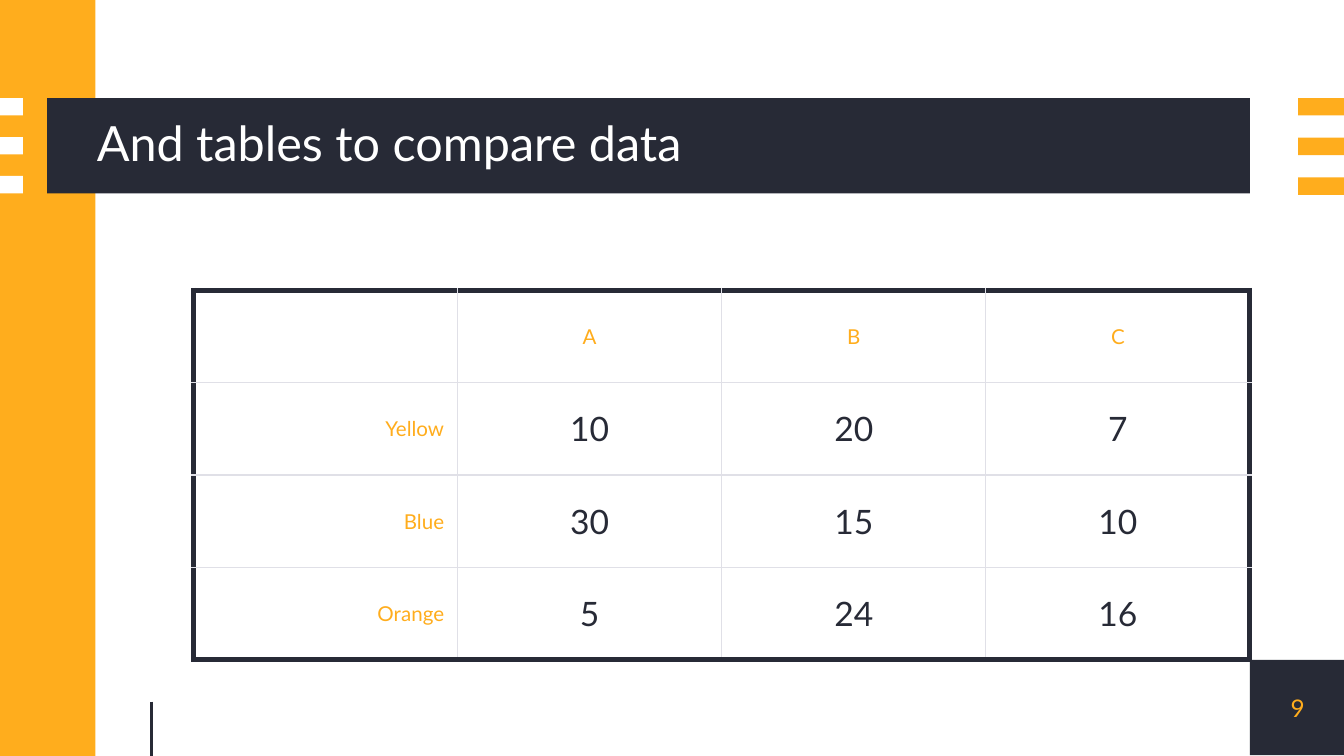
"""Build a slide with a title band, a comparison table and a page number."""
import dataclasses
import typing

import lxml.etree
import pptx
import pptx.dml.color
import pptx.enum.shapes
import pptx.enum.text
import pptx.oxml.ns
import pptx.util

Inches = pptx.util.Inches
Align = pptx.enum.text.PP_ALIGN
Anchor = pptx.enum.text.MSO_ANCHOR
COLORS = {"dark": "272A36", "accent": "FFAD1D", "white": "FFFFFF", "grid": "E0E0E7"}
WIDTH = 10
HEIGHT = WIDTH * 9 / 16
ROWS = [
    ["", "A", "B", "C"],
    ["Yellow", "10", "20", "7"],
    ["Blue", "30", "15", "10"],
    ["Orange", "5", "24", "16"],
]


@dataclasses.dataclass(frozen=True)
class Block:
    left: float
    top: float
    width: float
    height: float
    color: str


@dataclasses.dataclass(frozen=True)
class Label:
    text: str
    size: float
    color: str
    align: Align = Align.CENTER
    spacing: float = 1.0


def rgb(name: str) -> pptx.dml.color.RGBColor:
    return pptx.dml.color.RGBColor.from_string(COLORS[name])


def apply(target: typing.Any, values: dict[str, typing.Any]) -> None:
    for name, value in values.items():
        setattr(target, name, value)


def draw_block(page: typing.Any, block: Block) -> None:
    box = page.shapes.add_shape(
        pptx.enum.shapes.MSO_SHAPE.RECTANGLE,
        Inches(block.left), Inches(block.top), Inches(block.width), Inches(block.height),
    )
    box.shadow.inherit = False
    box.fill.solid()
    box.fill.fore_color.rgb = rgb(block.color)
    box.line.fill.background()


def write(frame: typing.Any, label: Label) -> None:
    para = frame.paragraphs[0]
    apply(para, {"alignment": label.align, "line_spacing": label.spacing})
    span = para.add_run()
    span.text = label.text
    apply(span.font, {"name": "Lato", "size": pptx.util.Pt(label.size)})
    span.font.color.rgb = rgb(label.color)


def draw_label(page: typing.Any, left: float, top: float, width: float,
               height: float, label: Label) -> None:
    box = page.shapes.add_textbox(Inches(left), Inches(top), Inches(width), Inches(height))
    apply(box.text_frame, {
        "word_wrap": True, "vertical_anchor": Anchor.MIDDLE,
        "margin_left": 0, "margin_right": 0, "margin_top": 0, "margin_bottom": 0,
    })
    write(box.text_frame, label)


def draw_rule(page: typing.Any, left: float, top: float, bottom: float) -> None:
    rule = page.shapes.add_connector(
        pptx.enum.shapes.MSO_CONNECTOR.STRAIGHT,
        Inches(left), Inches(top), Inches(left), Inches(bottom),
    )
    rule.line.color.rgb = rgb("dark")
    rule.line.width = pptx.util.Pt(1.5)
    properties = rule.element.find(pptx.oxml.ns.qn("p:spPr"))
    lxml.etree.SubElement(properties, pptx.oxml.ns.qn("a:effectLst"))


def set_borders(cell: typing.Any, outer_sides: dict[str, bool]) -> None:
    qn = pptx.oxml.ns.qn
    properties = cell._tc.get_or_add_tcPr()
    for side, is_outer in outer_sides.items():
        color, points = ("dark", 3) if is_outer else ("grid", 0.75)
        line = lxml.etree.SubElement(properties, qn(f"a:ln{side}"), w=str(pptx.util.Pt(points)))
        fill = lxml.etree.SubElement(line, qn("a:solidFill"))
        lxml.etree.SubElement(fill, qn("a:srgbClr"), val=COLORS[color])


def cell_label(text: str, row: int, column: int) -> Label:
    if row == 0:
        return Label(text, 11, "accent")
    if column == 0:
        return Label(text, 11, "accent", Align.RIGHT)
    return Label(text, 18, "dark")


def draw_table(page: typing.Any, left: float, top: float, width: float, height: float) -> None:
    last_row, last_column = len(ROWS) - 1, len(ROWS[0]) - 1
    table = page.shapes.add_table(
        len(ROWS), len(ROWS[0]), Inches(left), Inches(top), Inches(width), Inches(height)
    ).table
    apply(table, {"first_row": False, "horz_banding": False})
    for row, texts in enumerate(ROWS):
        for column, text in enumerate(texts):
            cell = table.cell(row, column)
            apply(cell, {
                "vertical_anchor": Anchor.MIDDLE,
                "margin_left": Inches(0.1), "margin_right": Inches(0.1),
                "margin_top": Inches(0.07), "margin_bottom": Inches(0.07),
            })
            set_borders(cell, {
                "L": column == 0, "R": column == last_column,
                "T": row == 0, "B": row == last_row,
            })
            cell.fill.background()
            if text:
                write(cell.text_frame, cell_label(text, row, column))


def main() -> None:
    deck = pptx.Presentation()
    apply(deck, {"slide_width": Inches(WIDTH), "slide_height": Inches(HEIGHT)})
    page = deck.slides.add_slide(deck.slide_layouts[6])
    blocks = [
        Block(9.3, 4.91, 0.71, 0.71, "dark"),
        Block(0, 0, 0.71, HEIGHT, "accent"),
        Block(0.35, 0.73, 8.95, 0.71, "dark"),
    ]
    for left, width, span, color in [(0, 0.17, 0.58, "white"), (9.66, 0.34, 0.59, "accent")]:
        blocks += [Block(left, 0.73 + span * step / 2, width, 0.13, color) for step in range(3)]
    for block in blocks:
        draw_block(page, block)
    draw_rule(page, 1.13, 5.22, HEIGHT)
    draw_label(page, 0.72, 0.73, 8.58, 0.71,
               Label("And tables to compare data", 26, "white", Align.LEFT, 0.9))
    draw_table(page, 1.44, 2.16, 7.86, 2.75)
    draw_label(page, 9.3, 4.91, 0.71, 0.71, Label("9", 13, "accent"))
    deck.save("out.pptx")


if __name__ == "__main__":
    main()
